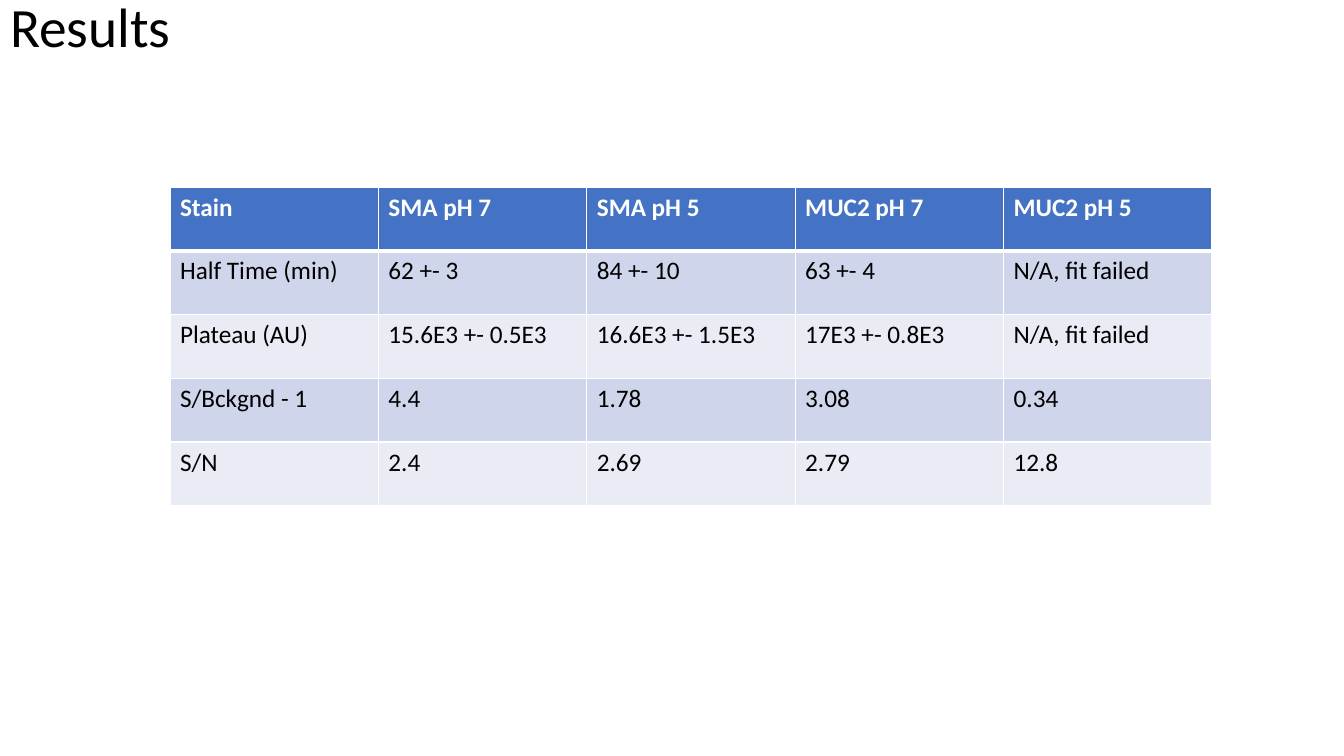
from lxml import etree
from pptx import Presentation
from pptx.dml.color import RGBColor
from pptx.enum.text import MSO_ANCHOR, MSO_AUTO_SIZE, PP_ALIGN
from pptx.oxml.ns import qn
from pptx.util import Emu, Pt

LEFT = PP_ALIGN.LEFT
TOP, MIDDLE = MSO_ANCHOR.TOP, MSO_ANCHOR.MIDDLE
NO_AUTOFIT = MSO_AUTO_SIZE.NONE

# Content
TITLE = "Results"
RESULTS = [
    ("Stain", "SMA pH 7", "SMA pH 5", "MUC2 pH 7", "MUC2 pH 5"),
    ("Half Time (min)", "62 +- 3", "84 +- 10", "63 +- 4", "N/A, fit failed"),
    ("Plateau (AU)", "15.6E3 +- 0.5E3", "16.6E3 +- 1.5E3", "17E3 +- 0.8E3", "N/A, fit failed"),
    ("S/Bckgnd - 1", "4.4", "1.78", "3.08", "0.34"),
    ("S/N", "2.4", "2.69", "2.79", "12.8"),
]

# Layout in px and formats
PX = 914400 / 100.8
PAGE_SIZE = (1344, 756)
TITLE_BOX = (0, 0, 1159, 59)
TABLE_BOX = (170, 187, 1042, 319)
WHITE, BLACK = "FFFFFF", "000000"
HEADER_FILL, BAND_FILLS = "4472C4", ("E9EBF5", "CFD5EA")
TITLE_FONT = {"name": "Calibri", "size": Pt(39.6), "bold": False}
HEADER_FONT = {"name": "Calibri", "size": Pt(18), "bold": True}
BODY_FONT = {**HEADER_FONT, "bold": False}


def px(length):
    return Emu(round(length * PX))


def rgb(value):
    return RGBColor.from_string(value)


def format_text(para, font, color):
    para.alignment = LEFT
    for name, value in font.items():
        setattr(para.font, name, value)
    para.font.color.rgb = rgb(color)


def add_borders(cell, widths):
    properties = cell._tc.get_or_add_tcPr()
    for index, (side, width) in enumerate(widths.items()):
        line = etree.Element(qn(f"a:ln{side}"), w=str(Pt(width)))
        fill = etree.SubElement(line, qn("a:solidFill"))
        etree.SubElement(fill, qn("a:srgbClr"), val=WHITE)
        properties.insert(index, line)


deck = Presentation()
deck.slide_width, deck.slide_height = map(px, PAGE_SIZE)
page = deck.slides.add_slide(deck.slide_layouts[5])

# Title
title = page.shapes.title
title.left, title.top, title.width, title.height = map(px, TITLE_BOX)
frame = title.text_frame
frame.text = TITLE
frame.auto_size = NO_AUTOFIT
frame.vertical_anchor = MIDDLE
frame.paragraphs[0].line_spacing = 0.9
format_text(frame.paragraphs[0], TITLE_FONT, BLACK)

# Results table
table = page.shapes.add_table(len(RESULTS), len(RESULTS[0]), *map(px, TABLE_BOX)).table
for row, values in enumerate(RESULTS):
    header = row == 0
    for column, value in enumerate(values):
        cell = table.cell(row, column)
        cell.text = value
        cell.vertical_anchor = TOP
        cell.fill.solid()
        cell.fill.fore_color.rgb = rgb(HEADER_FILL if header else BAND_FILLS[row % 2])
        format_text(cell.text_frame.paragraphs[0], HEADER_FONT if header else BODY_FONT,
                    WHITE if header else BLACK)
        add_borders(cell, {"L": 1, "R": 1, "T": 3 if row == 1 else 1, "B": 3 if header else 1})

deck.save("out.pptx")
